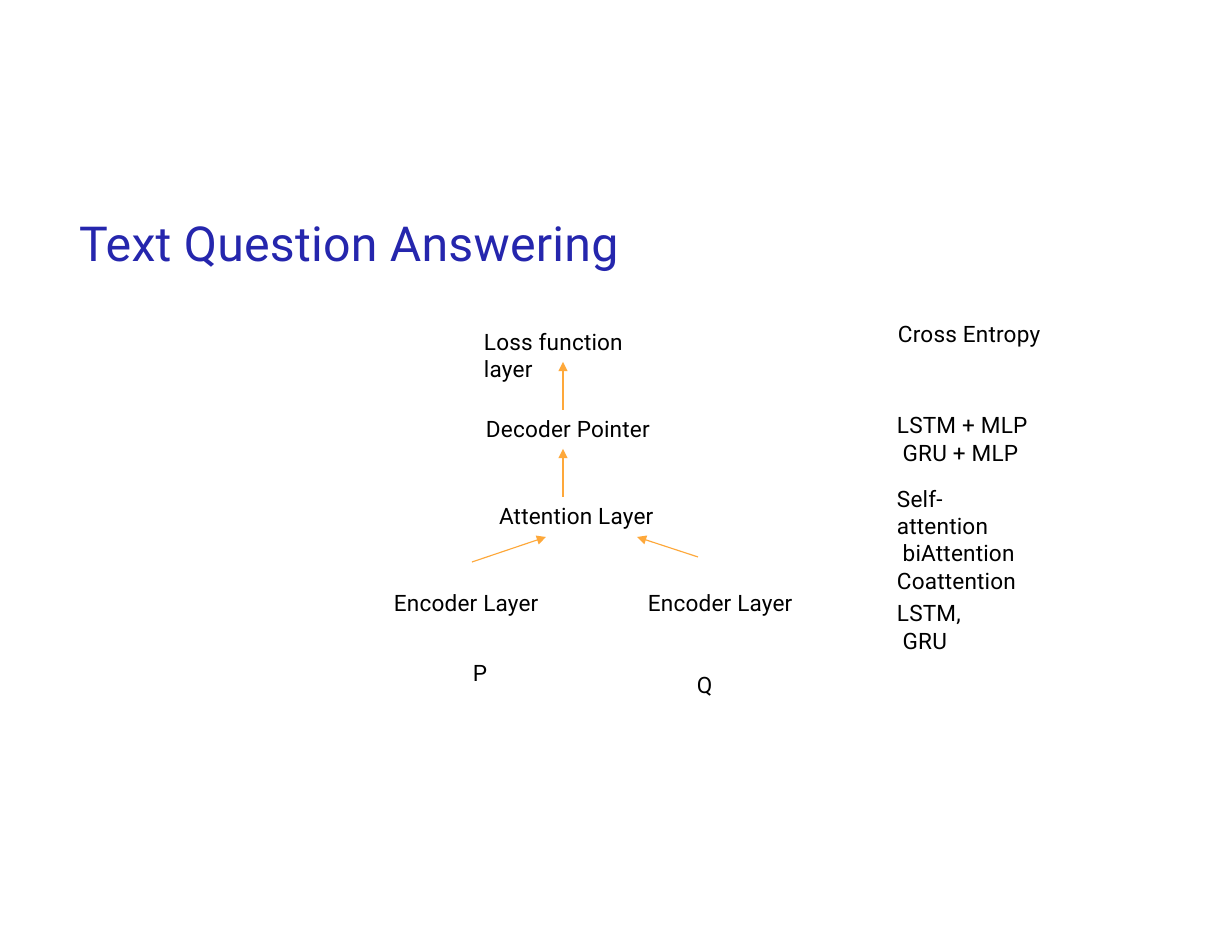
from dataclasses import dataclass

from lxml.etree import SubElement
from pptx import Presentation
from pptx.dml.color import RGBColor
from pptx.enum.shapes import MSO_CONNECTOR
from pptx.enum.text import MSO_AUTO_SIZE
from pptx.oxml.ns import qn
from pptx.util import Pt

PX = 914400 / 112


def px(n):
    return round(n * PX)


@dataclass(frozen=True)
class Theme:
    font: str = "Roboto"
    title_size: float = 31
    body_size: float = 14.5
    title: RGBColor = RGBColor(0x25, 0x26, 0xAD)
    body: RGBColor = RGBColor(0, 0, 0)
    arrow: RGBColor = RGBColor(0xFE, 0xA8, 0x3A)
    arrow_width: float = 0.75


class Deck:
    """Draws styled elements on the current slide."""

    def __init__(self, theme, width, height):
        self.theme = theme
        self.prs = Presentation()
        self.prs.slide_width, self.prs.slide_height = px(width), px(height)
        self.s = self.prs.slides.add_slide(self.prs.slide_layouts[6])

    def frame(self, x, y, w, h, inset_top):
        tf = self.s.shapes.add_textbox(px(x), px(y), px(w), px(h)).text_frame
        tf.word_wrap = True
        tf.auto_size = MSO_AUTO_SIZE.SHAPE_TO_FIT_TEXT
        tf.margin_left, tf.margin_top = px(1), px(inset_top)
        tf.margin_right = tf.margin_bottom = 0
        return tf

    def run(self, p, text, size, color, tracking):
        r = p.add_run()
        r.text = text
        r.font.name = self.theme.font
        r.font.size = Pt(size)
        r.font.color.rgb = color
        r.font._element.set("spc", str(tracking))

    def title(self, text, x, y, w, h):
        p = self.frame(x, y, w, h, 2).paragraphs[0]
        p.space_before = Pt(1.3)
        self.run(p, text, self.theme.title_size, self.theme.title, 20)

    def label(self, text, x, y, w, h=30):
        p = self.frame(x, y, w, h, 2).paragraphs[0]
        p.space_before = Pt(1.1)
        self.run(p, text, self.theme.body_size, self.theme.body, 10)

    def notes(self, groups, x, y, w, h):
        """Stack groups of lines, one paragraph to a group."""
        tf = self.frame(x, y, w, h, 1)
        for i, lines in enumerate(groups):
            p = tf.add_paragraph() if i else tf.paragraphs[0]
            p.space_before = Pt(12.1 if i else 0.9)
            p.line_spacing = 1.01
            for j, line in enumerate(lines):
                if j:
                    p.add_line_break()
                self.run(p, line, self.theme.body_size, self.theme.body, 10)

    def arrow(self, x1, y1, x2, y2):
        c = self.s.shapes.add_connector(
            MSO_CONNECTOR.STRAIGHT, px(x1), px(y1), px(x2), px(y2))
        c.line.color.rgb = self.theme.arrow
        c.line.width = Pt(self.theme.arrow_width)
        SubElement(c.line._get_or_add_ln(), qn("a:tailEnd"), type="triangle")
        SubElement(c._element.spPr, qn("a:effectLst"))

    def save(self):
        self.prs.save("out.pptx")


def main():
    deck = Deck(Theme(), 1232, 952)
    deck.title("Text Question Answering", 78, 211, 550, 62)

    top, step = 326, 87
    layers = [
        ("Loss function layer", 483, 0, 194),
        ("Decoder Pointer", 485, 1, 168),
        ("Attention Layer", 498, 2, 157),
        ("Encoder Layer", 393, 3, 151),
        ("Encoder Layer", 647, 3, 151),
    ]
    for text, x, row, w in layers:
        deck.label(text, x, top + row * step, w)
    deck.label("P", 472, 657, 18)
    deck.label("Q", 696, 669, 21)

    for row in (1, 2):
        tail = top + row * step - 3
        deck.arrow(563, tail, 563, tail - 48)
    deck.arrow(472, 562, 546, 537)
    deck.arrow(698, 557, 637, 537)

    deck.label("Cross Entropy", 897, 318, 148)
    deck.notes([["LSTM + MLP", " GRU + MLP"],
                ["Self-attention", " biAttention", "Coattention"]],
               896, 410, 138, 159)
    deck.notes([["LSTM,", " GRU"]], 896, 598, 71, 58)
    deck.save()


if __name__ == "__main__":
    main()
